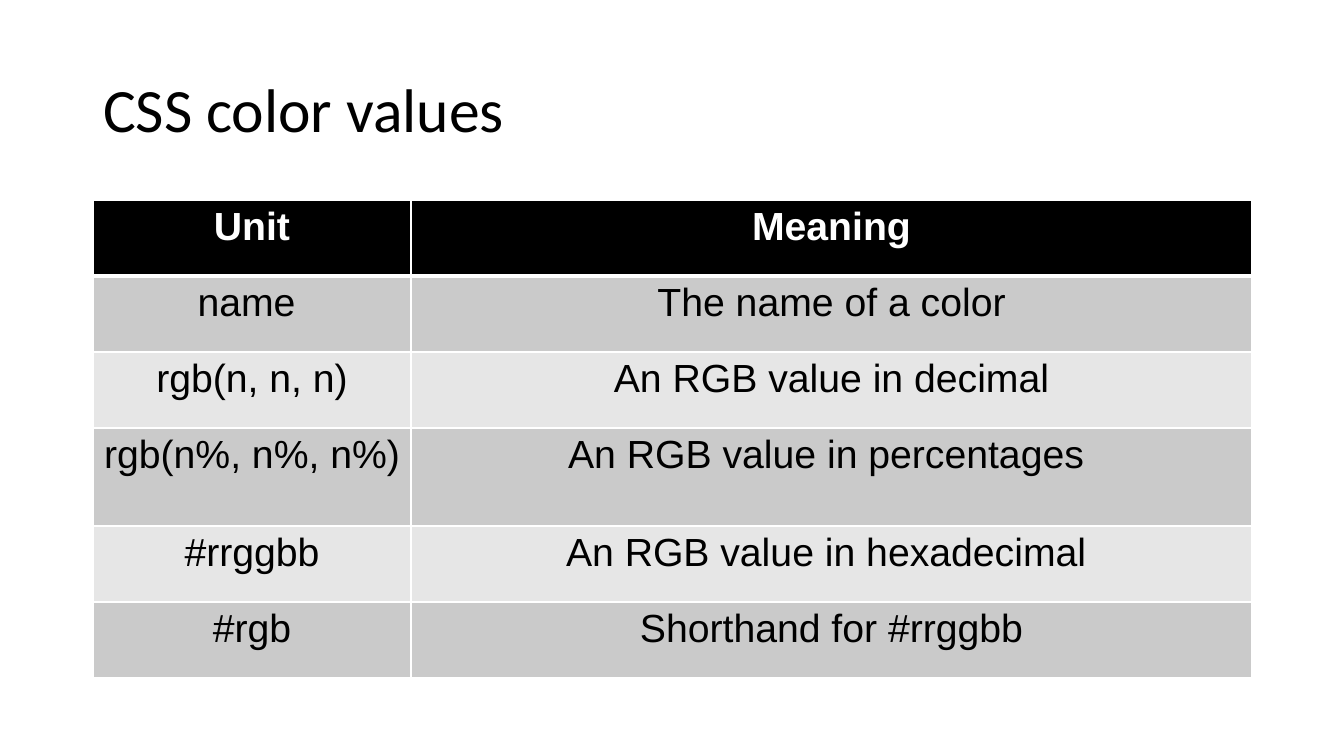
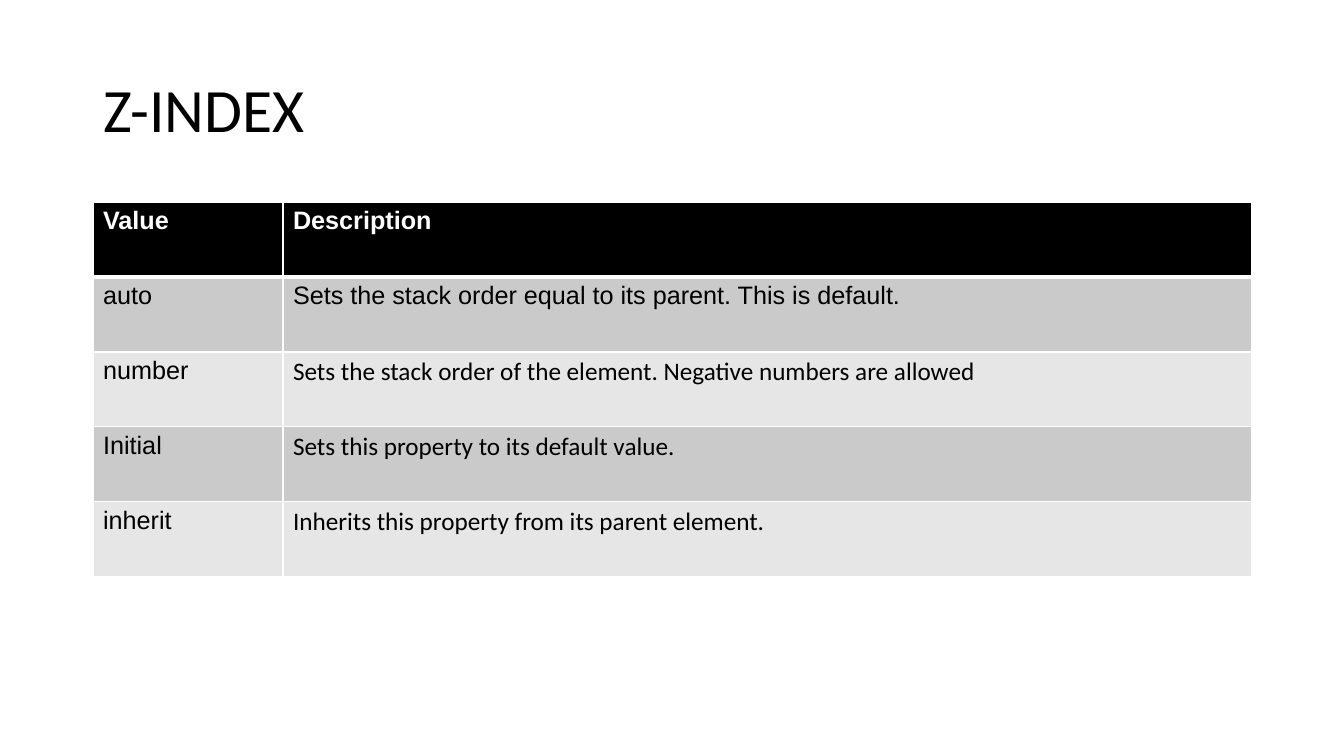
"""Build two slides with tables of CSS color values and z-index values."""
from lxml.etree import SubElement
from pptx import Presentation
from pptx.dml.color import RGBColor as RGB
from pptx.enum.text import MSO_ANCHOR as ANCHOR, MSO_AUTO_SIZE as AUTO, PP_ALIGN as ALIGN
from pptx.oxml.ns import qn
from pptx.util import Pt

COLORS = {"ink": "000000", "paper": "FFFFFF", "odd": "CACACA", "even": "E6E6E6"}
LEFT, WIDTH = 93, 1159
TITLE_BOX = {"left": LEFT, "top": 40, "width": WIDTH, "height": 146}
TITLE_FONT = {"name": "Calibri", "size": Pt(44), "bold": False}
TITLE_FRAME = {"vertical_anchor": ANCHOR.MIDDLE, "auto_size": AUTO.NONE, "word_wrap": True}

SLIDES = [
    {
        "title": "CSS color values",
        "top": 200, "unit_width": 318, "heights": [76, 76, 76, 98, 76, 76],
        "size": 28, "align": ALIGN.CENTER, "calibri_cells": [],
        "rows": [
            ("Unit", "Meaning"),
            ("name ", "The name of a color"),
            ("rgb(n, n, n)", "An RGB value in decimal"),
            ("rgb(n%, n%, n%)", "An RGB value in percentages "),
            ("#rrggbb", "An RGB value in hexadecimal "),
            ("#rgb", "Shorthand for #rrggbb"),
        ],
    },
    {
        "title": "Z-INDEX",
        "top": 202, "unit_width": 190, "heights": [75] * 5,
        "size": 18, "align": ALIGN.LEFT, "calibri_cells": [(2, 1), (3, 1), (4, 1)],
        "rows": [
            ("Value", "Description"),
            ("auto", "Sets the stack order equal to its parent. This is default."),
            ("number", "Sets the stack order of the element. Negative numbers are allowed"),
            ("Initial ", "Sets this property to its default value."),
            ("inherit", "Inherits this property from its parent element."),
        ],
    },
]


def px(pixels):
    return round(pixels * 914400 / 100.8)


def apply(target, values):
    for name, value in values.items():
        setattr(target, name, value)


def color(name):
    return RGB.from_string(COLORS[name])


def add_title(slide, text):
    title = slide.shapes.title
    apply(title, {side: px(length) for side, length in TITLE_BOX.items()})
    apply(title.text_frame, TITLE_FRAME)
    paragraph = title.text_frame.paragraphs[0]
    apply(paragraph, {"alignment": ALIGN.LEFT, "line_spacing": 0.9})
    run = paragraph.add_run()
    run.text = text
    apply(run.font, TITLE_FONT)
    run.font.color.rgb = color("ink")


def add_borders(cell, row):
    thick_side = {0: "B", 1: "T"}.get(row)
    for side in "LRTB":
        width = Pt(3 if side == thick_side else 1)
        line = SubElement(cell._tc.get_or_add_tcPr(), qn(f"a:ln{side}"), w=str(width))
        SubElement(SubElement(line, qn("a:solidFill")), qn("a:srgbClr"), val=COLORS["paper"])


def add_values(slide, content):
    rows, heights = content["rows"], content["heights"]
    table = slide.shapes.add_table(
        len(rows), 2, px(LEFT), px(content["top"]), px(WIDTH), px(sum(heights))).table
    for column, width in zip(table.columns, (content["unit_width"], WIDTH - content["unit_width"])):
        column.width = px(width)
    for r, (texts, height) in enumerate(zip(rows, heights)):
        table.rows[r].height = px(height)
        header = r == 0
        fill = "ink" if header else ("even", "odd")[r % 2]
        for c, text in enumerate(texts):
            cell = table.cell(r, c)
            add_borders(cell, r)
            cell.fill.solid()
            cell.fill.fore_color.rgb = color(fill)
            paragraph = cell.text_frame.paragraphs[0]
            paragraph.alignment = content["align"]
            run = paragraph.add_run()
            run.text = text
            face = "Calibri" if (r, c) in content["calibri_cells"] else "Arial"
            apply(run.font, {"name": face, "size": Pt(content["size"]), "bold": header})
            run.font.color.rgb = color("paper" if header else "ink")


deck = Presentation()
apply(deck, {"slide_width": px(1344), "slide_height": px(756)})
for content in SLIDES:
    slide = deck.slides.add_slide(deck.slide_layouts.get_by_name("Title Only"))
    add_title(slide, content["title"])
    add_values(slide, content)
deck.save("out.pptx")
